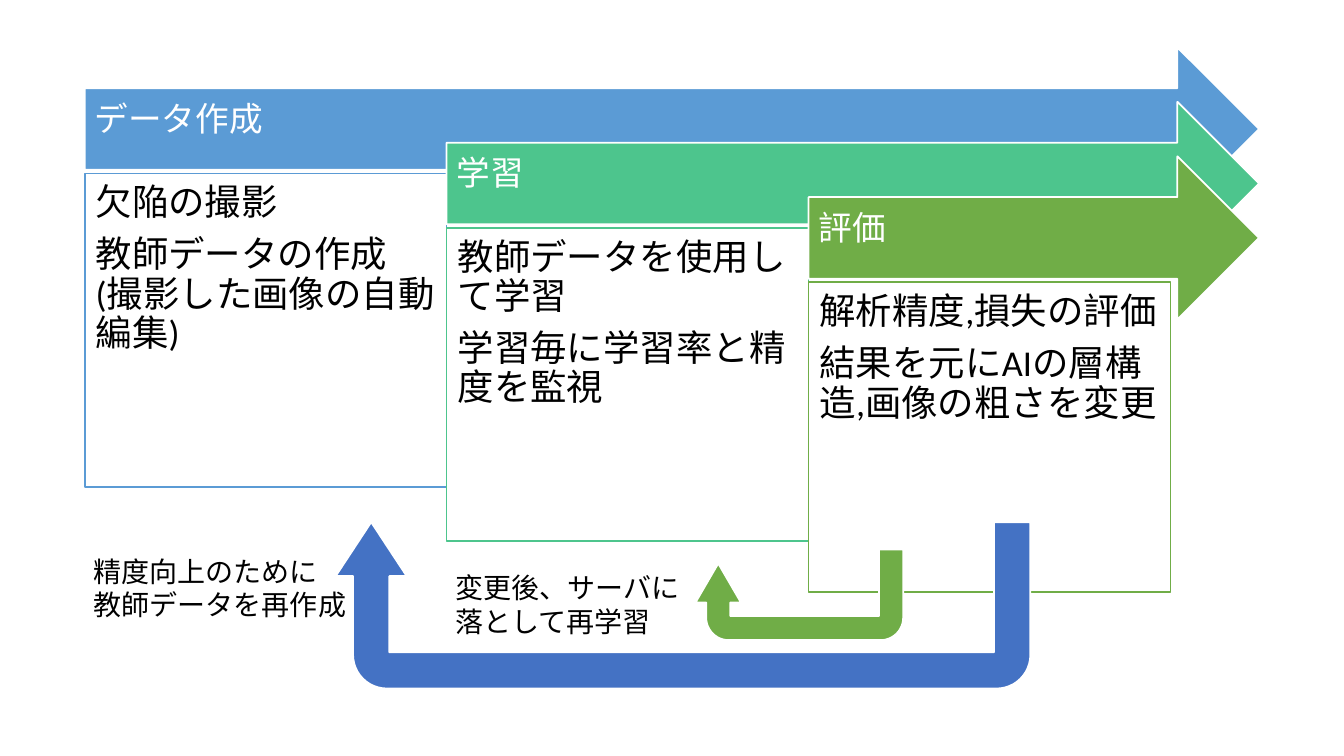
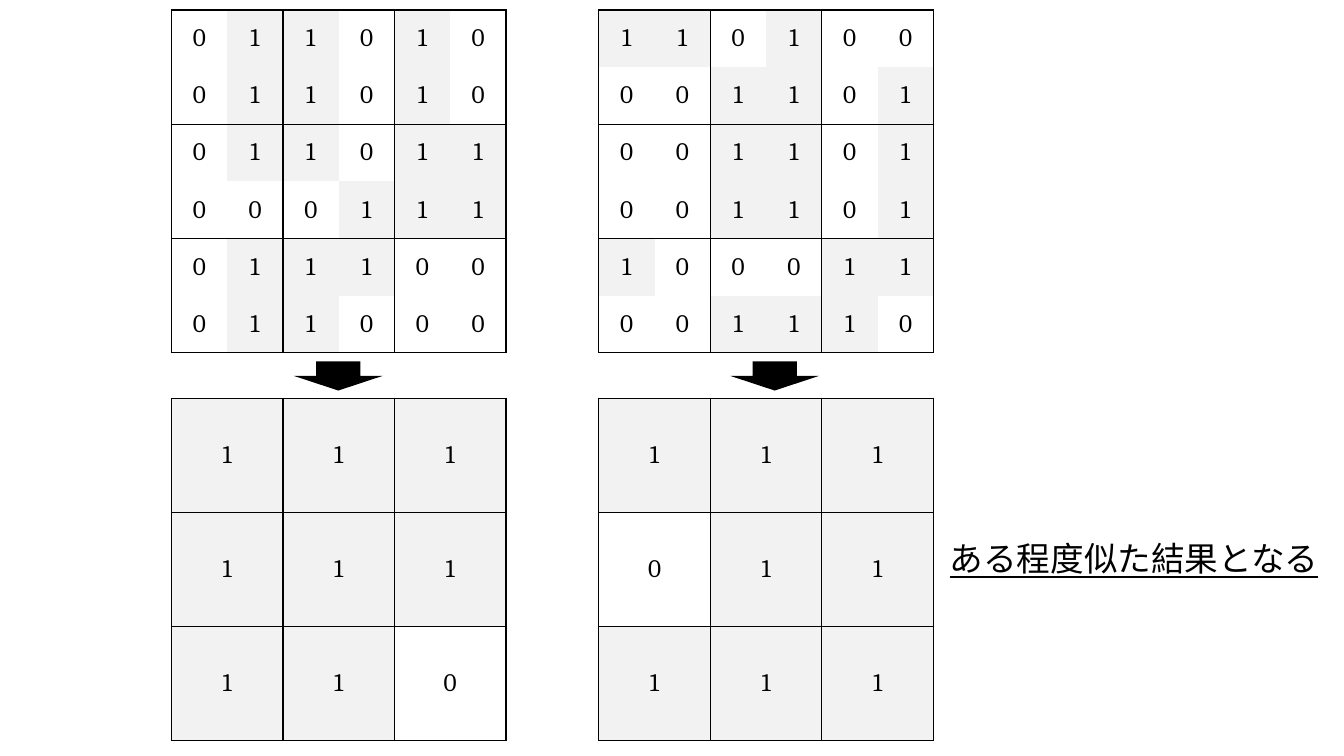
from lxml import etree
from pptx import Presentation
from pptx.dml.color import RGBColor
from pptx.enum import shapes, text
from pptx.oxml import ns
from pptx.util import Inches, Pt

WIDE, HIGH = Inches(13.33), Inches(7.5)
BLUE, MINT, GREEN, NAVY = "5B9BD5", "4DC58D", "70AD47", "4472C4"
WHITE, BLACK, GREY = "FFFFFF", "000000", "F2F2F2"
KIND = shapes.MSO_SHAPE
STEP, DROP, EDGE, HEAD, CARD = 26.93, 7.2, 93.68, 21.6, 16.67

STAGES = [
    (BLUE, 58.13, "データ作成",
     ["欠陥の撮影", "教師データの作成\v(撮影した画像の自動編集)"]),
    (MINT, 58.13, "学習",
     ["教師データを使用して学習", "学習毎に学習率と精度を監視"]),
    (GREEN, 57.6, "評価",
     ["解析精度,損失の評価", "結果を元にAIの層構造,画像の粗さを変更"]),
]
LOOPS = [
    (GREEN, (51.75, 72.67, 15.45, 12), (0.266, 0.25, 0.43, 0.249, 0.845),
     "変更後、サーバに\v落として再学習", (33.15, 74.8, 22.65, 9.87)),
    (NAVY, (24.98, 69.07, 51.68, 22), (0.218, 0.213, 0.324, 0.203, 1),
     "精度向上のために\v教師データを再作成", (6.23, 72.67, 21.15, 10.27)),
]
POOLS = [
    ((12.75, 1.33, 24.9, 96.67), 11.33,
     ["011010", "011010", "011011", "000111", "011100", "011000"],
     ["111", "111", "110"]),
    ((44.55, 1.33, 24.9, 96.67), 12,
     ["110100", "001101", "001101", "001101", "100011", "001110"],
     ["111", "011", "111"]),
]


def hue(code):
    """Turn a hex string into a colour."""
    return RGBColor.from_string(code)


def size(box):
    """Turn percentages of the slide into lengths."""
    return [int(part * full / 100) for part, full in zip(box, (WIDE, HIGH) * 2)]


def dress(item, **values):
    """Set several attributes of an object."""
    for name, value in values.items():
        setattr(item, name, value)


def write(frame, lines, points, ink=BLACK, face="Calibri", **style):
    """Fill a text frame with paragraphs of one style."""
    frame.word_wrap = True
    for at, line in enumerate(lines):
        para = frame.add_paragraph() if at else frame.paragraphs[0]
        para.text = line
        dress(para, **{"alignment": text.PP_ALIGN.LEFT, **style})
        dress(para.font, size=Pt(points), name=face)
        para.font.color.rgb = hue(ink)


def draw(slide, kind, box, fill, line=None, adj=(), turn=0):
    """Add a flat preset shape."""
    form = slide.shapes.add_shape(kind, *size(box))
    dress(form, rotation=turn)
    form.shadow.inherit = False
    form.fill.solid()
    form.fill.fore_color.rgb = hue(fill)
    if line:
        form.line.color.rgb = hue(line)
        form.line.width = Pt(1.25)
    else:
        form.line.fill.background()
    for at, value in enumerate(adj):
        form.adjustments[at] = value
    return form


def note(slide, box, line, points):
    """Add a plain text box and return its paragraph."""
    frame = slide.shapes.add_textbox(*size(box)).text_frame
    write(frame, [line], points)
    frame.auto_size = text.MSO_AUTO_SIZE.SHAPE_TO_FIT_TEXT
    return frame.paragraphs[0]


def stage(slide, box, fill, title, lines):
    """Draw one step: a titled arrow above a card."""
    left, top, wide, high = box
    arrow = draw(slide, KIND.RIGHT_ARROW, (left, top, wide, HEAD), fill, WHITE)
    dress(arrow.text_frame, vertical_anchor=text.MSO_ANCHOR.MIDDLE,
          margin_left=Inches(0.1), margin_top=Inches(0.1),
          margin_right=Inches(0.28), margin_bottom=Inches(0.27))
    write(arrow.text_frame, [title], 24, WHITE, line_spacing=0.9)
    card = draw(slide, KIND.RECTANGLE, (left, top + CARD, STEP, high - CARD),
                WHITE, fill)
    dress(card.text_frame, vertical_anchor=text.MSO_ANCHOR.TOP,
          **{f"margin_{side}": Inches(0.11)
             for side in ("left", "top", "right", "bottom")})
    write(card.text_frame, lines, 26, line_spacing=0.9, space_after=Pt(9.1))


def edge(cell, side, shown):
    """Show or hide one border of a cell."""
    line = etree.SubElement(cell._tc.get_or_add_tcPr(), ns.qn("a:ln" + side),
                            w=str(Pt(1)))
    if shown:
        fill = etree.SubElement(line, ns.qn("a:solidFill"))
        etree.SubElement(fill, ns.qn("a:srgbClr"), val=BLACK)
    else:
        etree.SubElement(line, ns.qn("a:noFill"))


def matrix(slide, box, rows, block):
    """Draw a square table of bits, ruled around blocks of cells."""
    count = len(rows)
    left, top, wide, high = size(box)
    table = slide.shapes.add_table(count, count, left, top, wide, high).table
    dress(table, first_row=False, horz_banding=False)
    for at in range(count):
        table.columns[at].width = wide // count
        table.rows[at].height = high // count
    for r, row in enumerate(rows):
        for c, bit in enumerate(row):
            cell = table.cell(r, c)
            for side, shown in (("L", c % block == 0),
                                ("R", c % block == block - 1),
                                ("T", r % block == 0),
                                ("B", r % block == block - 1)):
                edge(cell, side, shown)
            cell.fill.solid()
            cell.fill.fore_color.rgb = hue(GREY if bit == "1" else WHITE)
            dress(cell, vertical_anchor=text.MSO_ANCHOR.MIDDLE,
                  margin_left=Inches(0.07), margin_right=Inches(0.07),
                  margin_top=Inches(0.03), margin_bottom=Inches(0.03))
            write(cell.text_frame, [bit], 18, face="Cambria",
                  alignment=text.PP_ALIGN.CENTER)


def pool(slide, box, shift, fine, coarse):
    """Draw a fine table, an arrow down and the coarse table."""
    left, top, wide, high = box
    part = high * 0.469
    matrix(slide, (left, top, wide, part), fine, 2)
    draw(slide, KIND.RIGHT_ARROW, (left + shift, top + high * 0.44, 2.18, 11.73),
         BLACK, turn=90)
    matrix(slide, (left, top + high - part, wide, part), coarse, 1)


def flow(slide):
    """Build the slide of steps and feedback loops."""
    for at, (fill, high, title, lines) in enumerate(STAGES):
        left = 6.3 + STEP * at
        box = (left, 6.27 + DROP * at, EDGE - left, high)
        stage(slide, box, fill, title, lines)
    for fill, box, adj, line, spot in LOOPS:
        draw(slide, KIND.U_TURN_ARROW, box, fill, WHITE, adj, 180)
        note(slide, spot, line, 20)


def bits(slide):
    """Build the slide of pooled tables."""
    for item in POOLS:
        pool(slide, *item)
    para = note(slide, (69.92, 70.53, 30.08, 6.67), "ある程度似た結果となる", 24)
    para.font.underline = True


def main():
    """Build and save the deck."""
    deck = Presentation()
    dress(deck, slide_width=WIDE, slide_height=HIGH)
    for build in (flow, bits):
        build(deck.slides.add_slide(deck.slide_layouts[6]))
    deck.save("out.pptx")


if __name__ == "__main__":
    main()
